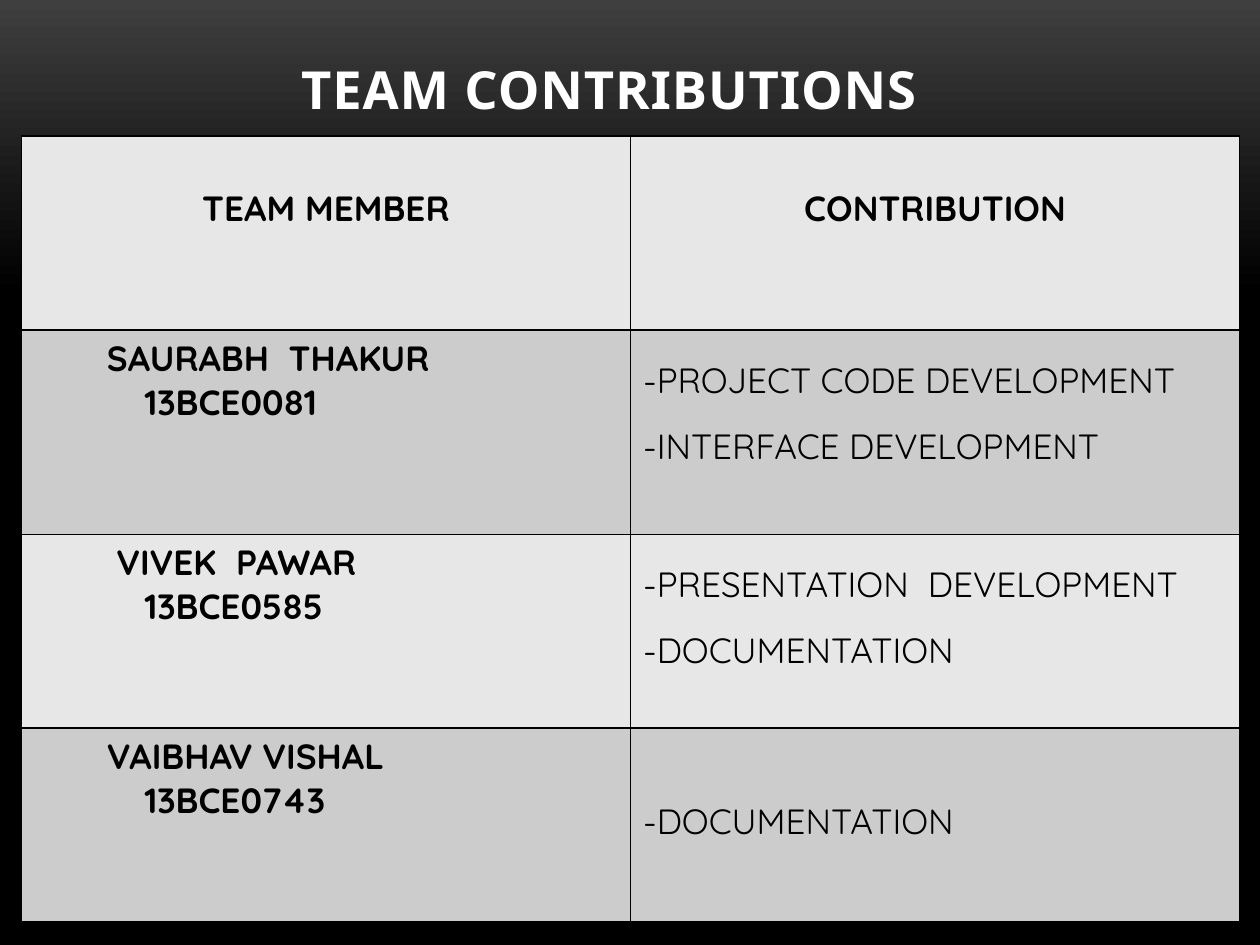
from lxml.etree import SubElement
from pptx import Presentation
from pptx.dml.color import RGBColor
from pptx.enum.text import MSO_ANCHOR, MSO_AUTO_SIZE, PP_ALIGN
from pptx.oxml.ns import qn
from pptx.util import Cm, Pt

COLORS = {
    "background_top": "3F3F3F",
    "background": "000000",
    "title": "FFFFFF",
    "text": "000000",
    "border": "000000",
    "light_row": "E7E7E7",
    "dark_row": "CCCCCC",
}
HEADINGS = ["TEAM MEMBER", "CONTRIBUTION"]
# name, left indent of the name in cm, registration number, contributions
MEMBERS = [
    ("SAURABH  THAKUR", 1.47, "13BCE0081",
     ["-PROJECT CODE DEVELOPMENT", "-INTERFACE DEVELOPMENT"]),
    ("VIVEK  PAWAR", 1.66, "13BCE0585",
     ["-PRESENTATION  DEVELOPMENT", "-DOCUMENTATION"]),
    ("VAIBHAV VISHAL", 1.47, "13BCE0743", ["-DOCUMENTATION"]),
]
NUMBER_INDENT = 2.23
SINGLE_LINE_TOP = 1.0
COLUMN_WIDTH = 12.28
ROW_HEIGHTS = [3.91, 4.12, 3.91, 3.91]


def color(name):
    return RGBColor.from_string(COLORS[name])


def write(text_frame, text, *, size=20, font="Quicksand", fill="text", bold=False,
          align=PP_ALIGN.LEFT, line_spacing=1.0, indent=0, tracking=0):
    """Fill the empty first paragraph, or add one, and format it."""
    paragraph = text_frame.paragraphs[-1]
    if paragraph.runs:
        paragraph = text_frame.add_paragraph()
    paragraph.alignment = align
    paragraph.line_spacing = line_spacing
    if indent:
        properties = paragraph._p.get_or_add_pPr()
        properties.set("marL", str(Cm(indent)))
        properties.set("indent", "0")
    run = paragraph.add_run()
    run.text = text
    run.font.size = Pt(size)
    run.font.name = font
    run.font.bold = bold
    run.font.color.rgb = color(fill)
    if tracking:
        run._r.get_or_add_rPr().set("spc", str(int(tracking * 100)))


def paint_background(slide):
    fill = slide.background.fill
    fill.gradient()
    fill.gradient_angle = 270
    stops = [(0, "background_top"), (0.31, "background")]
    for stop, (position, name) in zip(fill.gradient_stops, stops):
        stop.position = position
        stop.color.rgb = color(name)


def add_title(slide, text):
    title = slide.shapes.title
    title.left, title.top = Cm(0.43), Cm(0.76)
    title.width, title.height = Cm(23.7), Cm(1.78)
    text_frame = title.text_frame
    text_frame.auto_size = MSO_AUTO_SIZE.NONE
    text_frame.vertical_anchor = MSO_ANCHOR.BOTTOM
    write(text_frame, text, size=30, font="Noto Sans", fill="title", bold=True,
          align=PP_ALIGN.CENTER, tracking=0.5)


def style_cell(cell, fill):
    properties = cell._tc.get_or_add_tcPr()
    for side in ("lnL", "lnR", "lnT", "lnB"):
        line = SubElement(properties, qn(f"a:{side}"), w=str(Pt(1)))
        solid = SubElement(line, qn("a:solidFill"))
        SubElement(solid, qn("a:srgbClr"), val=COLORS["border"])
    cell.fill.solid()
    cell.fill.fore_color.rgb = color(fill)


def add_team_table(slide):
    table = slide.shapes.add_table(
        len(ROW_HEIGHTS), len(HEADINGS), Cm(0.43), Cm(2.74),
        Cm(COLUMN_WIDTH * len(HEADINGS)), Cm(sum(ROW_HEIGHTS))).table
    for column in table.columns:
        column.width = Cm(COLUMN_WIDTH)
    for index, height in enumerate(ROW_HEIGHTS):
        table.rows[index].height = Cm(height)
        for cell in table.rows[index].cells:
            style_cell(cell, "dark_row" if index % 2 else "light_row")

    for column, heading in enumerate(HEADINGS):
        write(table.cell(0, column).text_frame, heading, bold=True,
              align=PP_ALIGN.CENTER, line_spacing=2.0)
    for row, (name, name_indent, number, contributions) in enumerate(MEMBERS, 1):
        member_cell, contribution_cell = table.rows[row].cells
        write(member_cell.text_frame, name, bold=True, indent=name_indent)
        write(member_cell.text_frame, number, bold=True, indent=NUMBER_INDENT)
        if len(contributions) == 1:
            contribution_cell.margin_top = Cm(SINGLE_LINE_TOP)
        for contribution in contributions:
            write(contribution_cell.text_frame, contribution, line_spacing=1.5)


def main():
    presentation = Presentation()
    presentation.slide_width, presentation.slide_height = Cm(25.4), Cm(19.05)
    slide = presentation.slides.add_slide(presentation.slide_layouts[5])
    paint_background(slide)
    add_title(slide, "TEAM CONTRIBUTIONS")
    add_team_table(slide)
    presentation.save("out.pptx")


if __name__ == "__main__":
    main()
